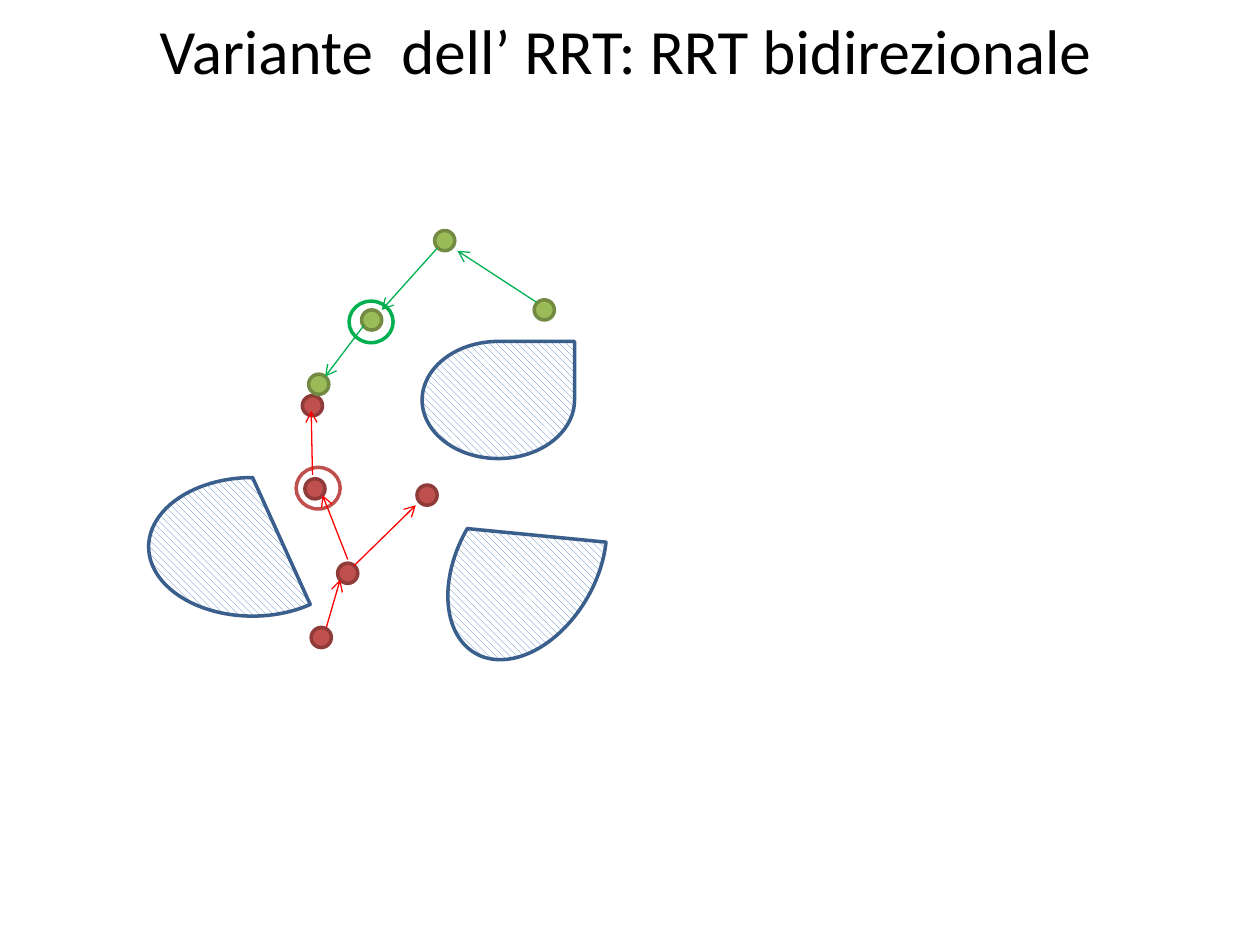
from lxml import etree
from pptx import Presentation
from pptx.dml.color import RGBColor
from pptx.enum import dml, shapes, text
from pptx.oxml.ns import qn
from pptx.util import Inches, Pt

COLORS = {
    "black": "000000", "white": "FFFFFF",
    "blue": "4F81BD", "navy": "3A5F8C",
    "brick": "C0504D", "wine": "8E3B39", "red": "FF0000",
    "lime": "9BBB59", "olive": "738A42", "green": "00B050",
}
FONT = "Calibri"
DOT = 0.16
RING = (0.35, 0.33)
SHAPE = shapes.MSO_SHAPE

# Each tree: dot fill, dot line, edge colour, ring colour, ring corner, dots, edges
TREES = [
    ("brick", "wine", "red", "brick", (2.35, 3.71),
     [(2.47, 4.98), (2.68, 4.47), (2.42, 3.8), (3.31, 3.85), (2.4, 3.14)],
     [(2.59, 4.98, 2.7, 4.6), (2.48, 3.77, 2.47, 3.26),
      (2.81, 4.49, 3.3, 4.01), (2.76, 4.44, 2.56, 3.93)]),
    ("lime", "olive", "green", "green", (2.77, 2.39),
     [(4.24, 2.38), (3.45, 1.83), (2.87, 2.46), (2.45, 2.97)],
     [(4.26, 2.4, 3.63, 1.99), (3.47, 1.97, 3.03, 2.46),
      (2.89, 2.58, 2.58, 2.99)]),
]
BLOCKS = [
    (SHAPE.TEAR, (3.35, 2.71, 1.21, 0.93), 0),
    (SHAPE.CHORD, (1.18, 3.79, 1.65, 1.1), 0),
    (SHAPE.CHORD, (3.36, 3.92, 1.65, 1.1), 300),
]


def rgb(name):
    return RGBColor.from_string(COLORS[name])


class Sketch:
    def __init__(self, slide):
        self.slide = slide

    def title(self, words, box):
        head = self.slide.shapes.title
        head.left, head.top, head.width, head.height = map(Inches, box)
        frame = head.text_frame
        frame.text = words
        frame.word_wrap = True
        frame.vertical_anchor = text.MSO_ANCHOR.TOP
        para = frame.paragraphs[0]
        para.alignment = text.PP_ALIGN.CENTER
        font = para.runs[0].font
        font.name, font.size = FONT, Pt(36)
        font.color.rgb = rgb("black")

    def form(self, kind, box, line):
        """Add an unfilled preset shape with a 2 pt outline."""
        item = self.slide.shapes.add_shape(kind, *map(Inches, box))
        item.shadow.inherit = False
        item.fill.background()
        item.line.color.rgb = rgb(line)
        item.line.width = Pt(2)
        return item

    def block(self, kind, box, turn):
        """Add a hatched obstacle."""
        item = self.form(kind, box, "navy")
        item.rotation = turn
        item.fill.patterned()
        item.fill.pattern = dml.MSO_PATTERN.WIDE_DOWNWARD_DIAGONAL
        item.fill.fore_color.rgb = rgb("blue")
        item.fill.back_color.rgb = rgb("white")

    def dot(self, spot, fill, line):
        item = self.form(SHAPE.OVAL, (*spot, DOT, DOT), line)
        item.fill.solid()
        item.fill.fore_color.rgb = rgb(fill)

    def ring(self, spot, line):
        self.form(SHAPE.OVAL, (*spot, *RING), line)

    def arrow(self, ends, color):
        edge = self.slide.shapes.add_connector(
            shapes.MSO_CONNECTOR.STRAIGHT, *map(Inches, ends))
        edge.line.color.rgb = rgb(color)
        edge.line.width = Pt(0.75)
        props = edge._element.spPr
        etree.SubElement(props.find(qn("a:ln")), qn("a:tailEnd"), type="arrow")
        etree.SubElement(props, qn("a:effectLst"))


def main():
    deck = Presentation()
    deck.slide_width, deck.slide_height = Inches(10), Inches(7.5)
    sketch = Sketch(deck.slides.add_slide(deck.slide_layouts[5]))
    sketch.title("Variante  dell’ RRT: RRT bidirezionale", (0.12, 0.04, 9.69, 0.71))
    for block in BLOCKS:
        sketch.block(*block)
    for fill, line, color, halo, spot, dots, edges in TREES:
        for dot in dots:
            sketch.dot(dot, fill, line)
        sketch.ring(spot, halo)
        for ends in edges:
            sketch.arrow(ends, color)
    deck.save("out.pptx")


if __name__ == "__main__":
    main()
